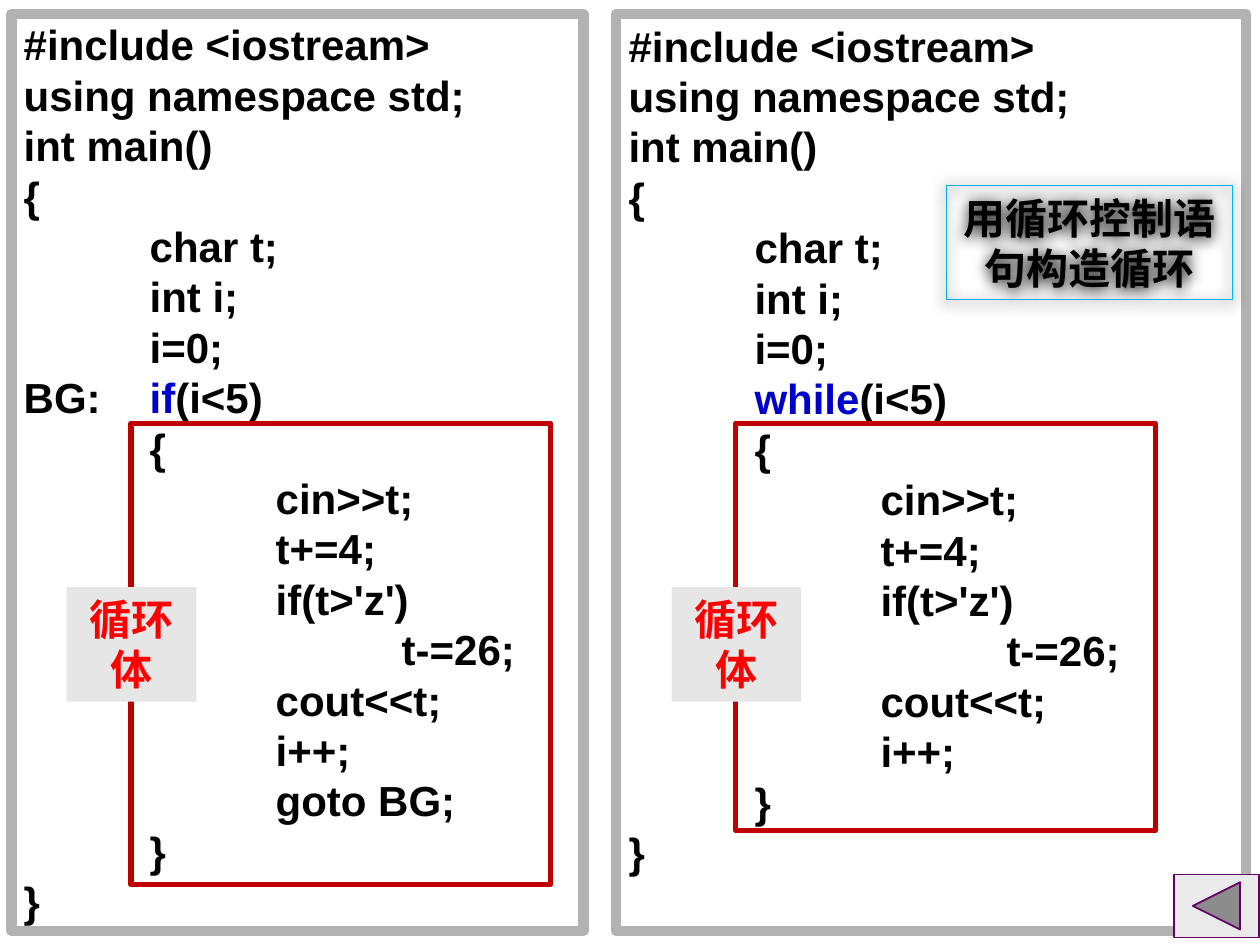
import pptx
import pptx.dml.color
import pptx.enum.shapes
import pptx.enum.text
import pptx.oxml
import pptx.oxml.ns
import pptx.util
from pptx.util import Inches

KINDS = pptx.enum.shapes.MSO_SHAPE
ANCHOR = pptx.enum.text.MSO_ANCHOR
ALIGN = pptx.enum.text.PP_ALIGN
SPACE = pptx.oxml.ns.nsdecls("a")


class Theme:
    black, blue, red = "000000", "0000CC", "FF0000"
    frame, loop, label = "B2B2B2", "C00000", "E6E6E6"
    hint, back, edge = "00B0F0", "EAEAEA", "660066"
    size = pptx.util.Pt(24)
    code, hans = "Arial", "Noto Sans CJK SC"


def add_box(area, fill=None, line=None, width=1, kind=KINDS.RECTANGLE):
    box = slide.shapes.add_shape(kind, *[Inches(n) for n in area])
    box.shadow.inherit = False
    if fill:
        box.fill.solid()
        box.fill.fore_color.rgb = pptx.dml.color.RGBColor.from_string(fill)
    else:
        box.fill.background()
    if line:
        box.line.color.rgb = pptx.dml.color.RGBColor.from_string(line)
        box.line.width = pptx.util.Pt(width)
    else:
        box.line.fill.background()
    return box


def add_text(box, lines, face, align, anchor):
    frame = box.text_frame
    frame.word_wrap = True
    frame.vertical_anchor = anchor
    for row, parts in enumerate(lines):
        para = frame.paragraphs[0] if row == 0 else frame.add_paragraph()
        para.alignment = align
        if face == Theme.code:
            stops = "".join(f'<a:tab pos="{Inches(n)}" algn="l"/>' for n in (1, 2, 3))
            para._p.get_or_add_pPr().append(
                pptx.oxml.parse_xml(f"<a:tabLst {SPACE}>{stops}</a:tabLst>"))
        for words, color in parts:
            run = para.add_run()
            run.text = words
            run.font.size = Theme.size
            run.font.bold = True
            run.font.color.rgb = pptx.dml.color.RGBColor.from_string(color)
            run.font.name = face
            run._r.get_or_add_rPr().append(
                pptx.oxml.parse_xml(f'<a:ea {SPACE} typeface="{face}"/>'))


deck = pptx.Presentation()
deck.slide_width, deck.slide_height = Inches(10), Inches(7.5)
slide = deck.slides.add_slide(deck.slide_layouts[6])

# Code shared by both programs
head = ["#include <iostream>", "using namespace std;", "int main()", "{",
        "\tchar t;", "\tint i;", "\ti=0;"]
body = ["\t{", "\t\tcin>>t;", "\t\tt+=4;", "\t\tif(t>'z')", "\t\t\tt-=26;",
        "\t\tcout<<t;", "\t\ti++;"]
tail = ["\t}", "}"]

# Panels: left, width, start of test line, keyword, extra line, loop height, anchor
panels = [
    (0.09, 4.54, "BG:\t", "if", ["\t\tgoto BG;"], 3.66, ANCHOR.MIDDLE),
    (4.89, 5, "\t", "while", [], 3.23, ANCHOR.TOP),
]
for left, width, start, key, extra, tall, anchor in panels:
    test = [(start, Theme.black), (key, Theme.blue), ("(i<5)", Theme.black)]
    lines = [[(text, Theme.black)] for text in head] + [test]
    lines += [[(text, Theme.black)] for text in body + extra + tail]
    panel = add_box((left, 0.11, width, 7.28), line=Theme.frame, width=6)
    add_text(panel, lines, Theme.code, ALIGN.LEFT, anchor)

    # Loop outline and its label
    add_box((left + 0.95, 3.36, 3.33, tall), line=Theme.loop, width=3)
    label = add_box((left + 0.44, 4.66, 1.03, 0.91), fill=Theme.label)
    add_text(label, [[("循环体", Theme.red)]], Theme.hans, ALIGN.CENTER, ANCHOR.TOP)

# Back button
add_box((9.32, 6.94, 0.67, 0.5), Theme.back, Theme.edge, 1,
        KINDS.ACTION_BUTTON_BACK_OR_PREVIOUS)

# Hint with a soft shadow
hint = add_box((7.51, 1.47, 2.27, 0.91), line=Theme.hint, width=0.75)
add_text(hint, [[("用循环控制语句构造循环", Theme.black)]], Theme.hans,
         ALIGN.CENTER, ANCHOR.MIDDLE)
glow = hint._element.spPr.find(pptx.oxml.ns.qn("a:effectLst"))
glow.append(pptx.oxml.parse_xml(
    f'<a:outerShdw {SPACE} blurRad="{pptx.util.Pt(8.5)}" dist="{pptx.util.Pt(1)}" '
    f'dir="5400000" rotWithShape="0"><a:srgbClr val="{Theme.black}"/></a:outerShdw>'))

deck.save("out.pptx")
